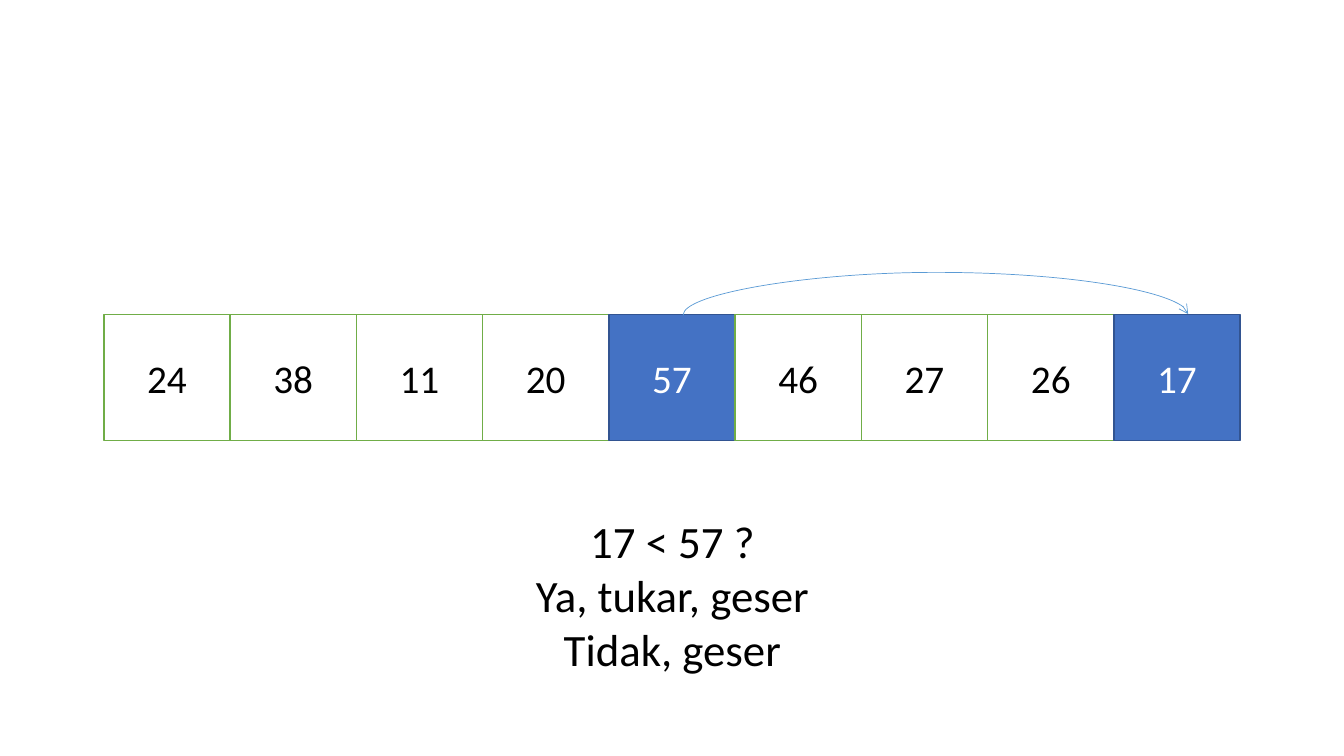
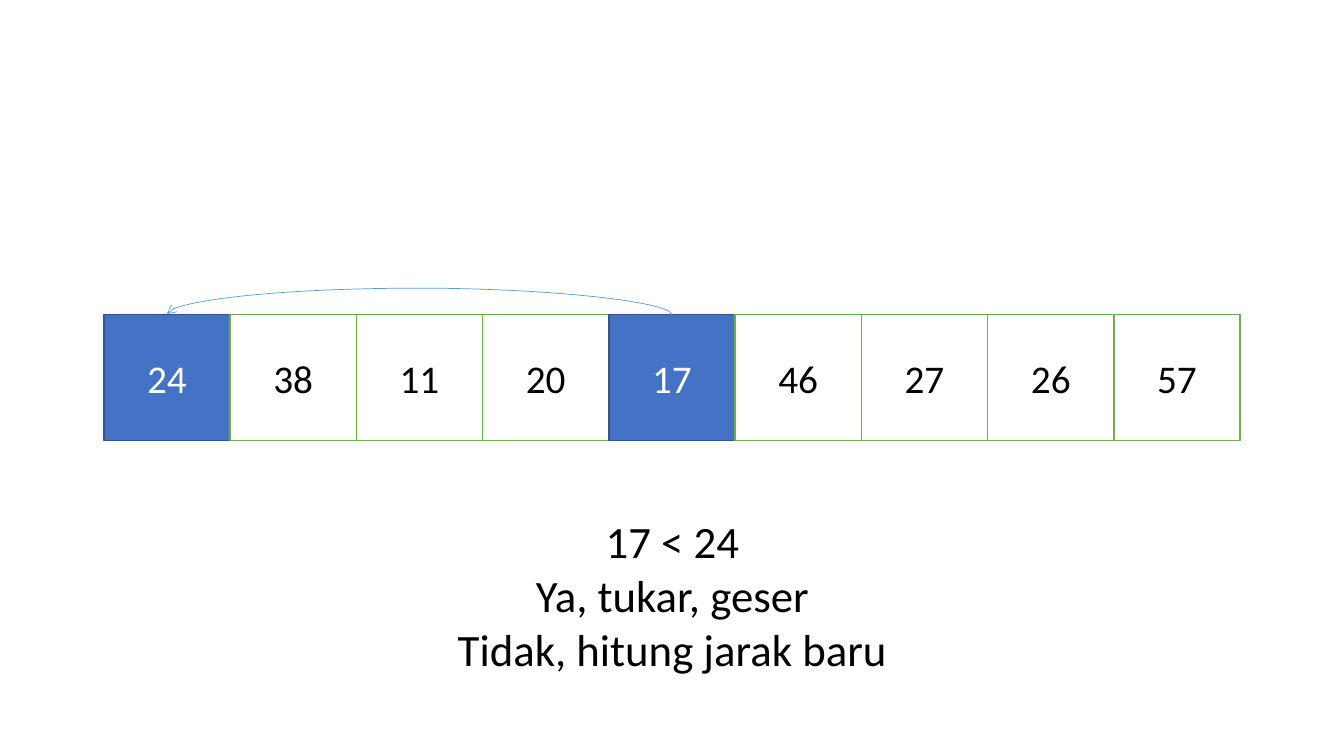
from lxml.etree import SubElement
from pptx import Presentation
from pptx.dml.color import RGBColor
from pptx.enum.shapes import MSO_CONNECTOR, MSO_SHAPE
from pptx.enum.text import MSO_ANCHOR, MSO_AUTO_SIZE, PP_ALIGN
from pptx.oxml.ns import qn
from pptx.util import Inches, Pt

COLORS = {"white": "FFFFFF", "black": "000000", "green": "70AD47",
          "blue": "4472C4", "navy": "325491", "sky": "5B9BD5"}
PLAIN = {"fill": "white", "line": "green", "font": "black"}
ACTIVE = {"fill": "blue", "line": "navy", "font": "white"}

# Left, top, width, height in inches
ROW = (1.03, 3.12, 11.27, 1.25)
NOTE_LEFT, NOTE_TOP, NOTE_WIDTH = 4.39, 5.05, 4.56
ARC_DROP = 0.01

STEPS = [
    {"values": [24, 38, 11, 20, 57, 46, 27, 26, 17],
     "start": 4, "end": 8, "shift": 0.11, "rise": 0.43, "note_height": 1.72,
     "lines": ["17 < 57 ?", "Ya, tukar, geser", "Tidak, geser"]},
    {"values": [24, 38, 11, 20, 17, 46, 27, 26, 57],
     "start": 4, "end": 0, "shift": 0, "rise": 0.27, "note_height": 2.25,
     "lines": ["17 < 24", "Ya, tukar, geser", "Tidak, hitung jarak baru"]},
]


def rgb(name):
    return RGBColor.from_string(COLORS[name])


def write_line(p, text, size, color):
    p.alignment = PP_ALIGN.CENTER
    r = p.add_run()
    r.text = text
    for key, value in {"name": "Calibri", "size": Pt(size)}.items():
        setattr(r.font, key, value)
    r.font.color.rgb = rgb(color)


def add_row(slide, box, values, active):
    """Fill the box with equal cells, the active ones highlighted."""
    left, top, width, height = box
    cell = width / len(values)
    for i, value in enumerate(values):
        look = ACTIVE if i in active else PLAIN
        sp = slide.shapes.add_shape(
            MSO_SHAPE.RECTANGLE, Inches(left + i * cell), Inches(top),
            Inches(cell), Inches(height))
        sp.shadow.inherit = False
        sp.fill.solid()
        sp.fill.fore_color.rgb = rgb(look["fill"])
        sp.line.color.rgb = rgb(look["line"])
        sp.line.width = Pt(1)
        tf = sp.text_frame
        tf.vertical_anchor = MSO_ANCHOR.MIDDLE
        write_line(tf.paragraphs[0], str(value), 28, look["font"])


def add_arc(slide, x1, x2, y, rise):
    """Curved arrow over the row: an upright connector turned by 270 degrees."""
    middle, half = (x1 + x2) / 2, (x2 - x1) / 2
    cxn = slide.shapes.add_connector(
        MSO_CONNECTOR.CURVE,
        Inches(middle - ARC_DROP / 2), Inches(y - half),
        Inches(middle + ARC_DROP / 2), Inches(y + half))
    cxn.line.color.rgb = rgb("sky")
    cxn.line.width = Pt(0.5)
    props = cxn._element.spPr
    props.find(qn("a:xfrm")).set("rot", str(270 * 60000))
    # The bend lies outside the connector's box by the given rise
    geom = props.find(qn("a:prstGeom"))
    guides = geom.find(qn("a:avLst"))
    if guides is None:
        guides = SubElement(geom, qn("a:avLst"))
    bend = round(rise / ARC_DROP * 100000)
    SubElement(guides, qn("a:gd"), name="adj1", fmla=f"val {bend}")
    SubElement(props.find(qn("a:ln")), qn("a:tailEnd"), type="arrow")
    SubElement(props, qn("a:effectLst"))


def add_note(slide, box, lines):
    """Centred question and its two answers."""
    tf = slide.shapes.add_textbox(*map(Inches, box)).text_frame
    tf.word_wrap = True
    tf.auto_size = MSO_AUTO_SIZE.SHAPE_TO_FIT_TEXT
    for i, line in enumerate(lines):
        p = tf.add_paragraph() if i else tf.paragraphs[0]
        write_line(p, line, 32, "black")


def add_step(prs, step):
    """One comparison step of the sort."""
    slide = prs.slides.add_slide(prs.slide_layouts[6])
    left, top, width, _ = ROW
    cell = width / len(step["values"])
    x1, x2 = (left + (step[end] + 0.5) * cell for end in ("start", "end"))
    add_row(slide, ROW, step["values"], (step["start"], step["end"]))
    add_note(slide, (NOTE_LEFT, NOTE_TOP, NOTE_WIDTH, step["note_height"]),
             step["lines"])
    add_arc(slide, x1 + step["shift"], x2 + step["shift"], top, step["rise"])


def main():
    prs = Presentation()
    prs.slide_width, prs.slide_height = Inches(13.33), Inches(7.5)
    for step in STEPS:
        add_step(prs, step)
    prs.save("out.pptx")


if __name__ == "__main__":
    main()
